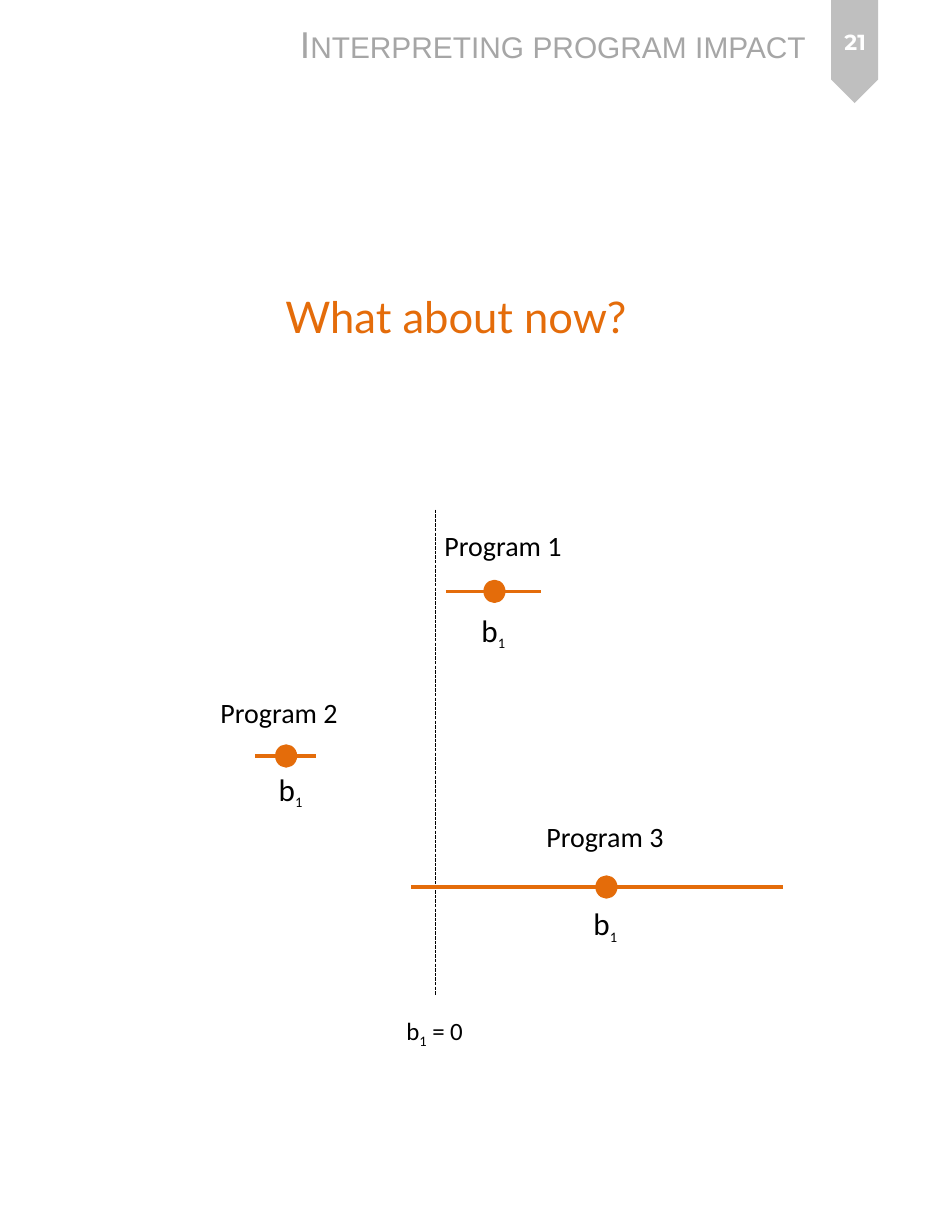
from dataclasses import dataclass

from lxml import etree
from pptx import Presentation
from pptx.dml.color import RGBColor
from pptx.enum import dml, shapes, text
from pptx.oxml import ns
from pptx.util import Inches, Pt


@dataclass(frozen=True)
class Theme:
    accent: RGBColor = RGBColor(0xE4, 0x6C, 0x0A)
    ink: RGBColor = RGBColor(0, 0, 0)
    tab: RGBColor = RGBColor(0xBF, 0xBF, 0xBF)
    heading: RGBColor = RGBColor(0xA6, 0xA6, 0xA6)
    white: RGBColor = RGBColor(0xFF, 0xFF, 0xFF)
    heading_size: int = 24
    question_size: int = 28
    number_size: int = 14
    label_size: int = 18
    estimate_size: int = 20
    small_size: int = 16


THEME = Theme()


@dataclass(frozen=True)
class Box:
    left: float
    top: float
    width: float
    height: float

    def inner(self, left, top, width, height):
        return Box(self.left + left, self.top + top, width, height)

    def lengths(self):
        return [Inches(n) for n in (self.left, self.top, self.width, self.height)]


def add_text(page, box, words, font, size, color, wrap=False):
    """Add one paragraph; words is a string or (string, size, baseline) spans."""
    frame = page.shapes.add_textbox(*box.lengths()).text_frame
    frame.word_wrap = wrap
    para = frame.paragraphs[0]
    para.font.name = font
    para.font.size = Pt(size)
    para.font.color.rgb = color
    spans = [(words, size, 0)] if isinstance(words, str) else words
    for wording, span_size, baseline in spans:
        span = para.add_run()
        span.text = wording
        if span_size != size:
            span.font.size = Pt(span_size)
        if baseline:
            span.font._element.set("baseline", str(baseline * 1000))
    return frame


def add_line(page, x1, y1, x2, y2, color, weight):
    line = page.shapes.add_connector(
        shapes.MSO_CONNECTOR.STRAIGHT, *[Inches(n) for n in (x1, y1, x2, y2)])
    line.line.color.rgb = color
    line.line.width = Pt(weight)
    etree.SubElement(line._element.spPr, ns.qn("a:effectLst"))
    return line


def add_solid(page, kind, box, color):
    solid = page.shapes.add_shape(kind, *box.lengths())
    solid.shadow.inherit = False
    solid.fill.solid()
    solid.fill.fore_color.rgb = color
    solid.line.fill.background()
    return solid


def add_header(page, box):
    # Page tab, turned to point down
    tab = add_solid(page, shapes.MSO_SHAPE.PENTAGON,
                    box.inner(4.59, 0.25, 0.92, 0.42), THEME.tab)
    tab.rotation = 90

    # Running title in small capitals
    title = add_text(page, box.inner(0, 0.14, 4.96, 0.5),
                     "Interpreting program impact", "Arial",
                     THEME.heading_size, THEME.heading)
    title.paragraphs[0].runs[0].font._element.set("cap", "small")

    # Page number
    number = add_text(page, box.inner(4.68, 0.08, 0.75, 0.59), "21", "Montserrat",
                      THEME.number_size, THEME.white, wrap=True)
    number.vertical_anchor = text.MSO_ANCHOR.MIDDLE
    number.paragraphs[0].alignment = text.PP_ALIGN.CENTER
    number.paragraphs[0].font.bold = True


def add_question(page, box):
    add_text(page, box, "What about now?", "Lato",
             THEME.question_size, THEME.accent, wrap=True)


def add_zero_line(page, box):
    middle = box.left + 0.36
    line = add_line(page, middle, box.top, middle, box.top + 4.34, THEME.ink, 0.75)
    line.line.dash_style = dml.MSO_LINE.SQUARE_DOT
    line.line._ln.find(ns.qn("a:prstDash")).set("val", "sysDash")
    size = THEME.small_size
    add_text(page, box.inner(0, 4.47, 0.72, 0.37),
             [("b", size, 0), ("1", size, -25), (" = 0", size, 0)],
             "Calibri", size, THEME.ink)


def add_program(page, box, name, dot_left, label, estimate):
    """Draw an interval across the box; label and estimate are offsets in it."""
    add_line(page, box.left, box.top, box.left + box.width, box.top, THEME.accent, 2)
    dot = add_solid(page, shapes.MSO_SHAPE.OVAL,
                    box.inner(dot_left, -0.09, 0.17, 0.18), THEME.accent)
    dot.line.color.rgb = THEME.accent
    dot.line.width = Pt(2)
    add_text(page, box.inner(*label, 1.26, 0.4), name, "Calibri",
             THEME.label_size, THEME.ink)
    add_text(page, box.inner(*estimate, 0.42, 0.44),
             [("b", THEME.estimate_size, 0), ("1", THEME.small_size, -25)],
             "Calibri", THEME.estimate_size, THEME.ink)


# Interval box, name, dot left, label offset, estimate offset
PROGRAMS = [
    (Box(3.98, 5.28, 0.85, 0), "Program 1", 0.35, (-0.11, -0.61), (0.22, 0.13)),
    (Box(2.28, 6.75, 0.54, 0), "Program 2", 0.19, (-0.41, -0.59), (0.11, 0.08)),
    (Box(3.67, 7.92, 3.32, 0), "Program 3", 1.66, (1.11, -0.65), (1.53, 0.11)),
]


def main():
    deck = Presentation()
    deck.slide_width, deck.slide_height = Inches(8.5), Inches(11)
    page = deck.slides.add_slide(deck.slide_layouts[6])
    add_header(page, Box(2.58, 0, 5.51, 0.92))
    add_question(page, Box(2.45, 2.54, 3.93, 0.57))
    add_zero_line(page, Box(3.53, 4.55, 0.72, 4.84))
    for program in PROGRAMS:
        add_program(page, *program)
    deck.save("out.pptx")


if __name__ == "__main__":
    main()
